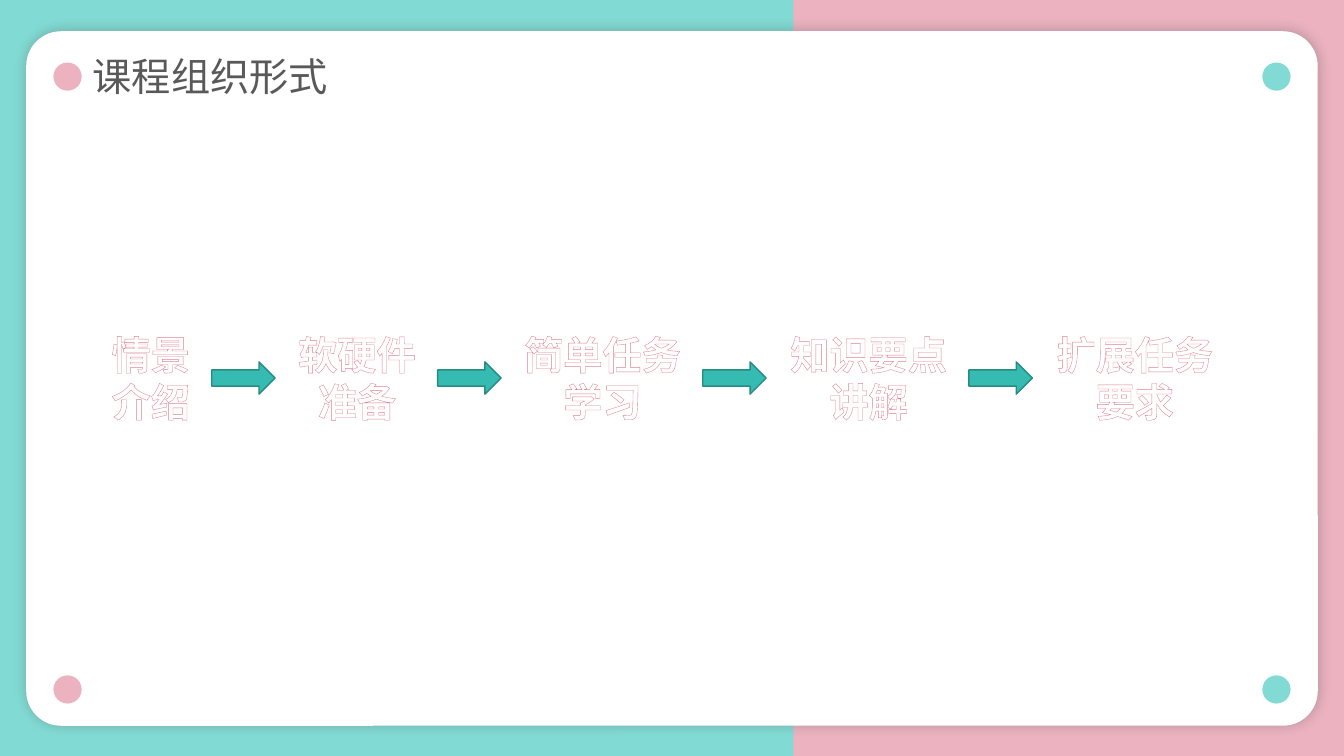
"""Build the course organisation slide with its five-step flow."""
from dataclasses import dataclass

import lxml.etree
import pptx
import pptx.dml.color
import pptx.enum.shapes
import pptx.enum.text
import pptx.oxml
import pptx.oxml.ns
import pptx.util

Inches = pptx.util.Inches
Pt = pptx.util.Pt
RGB = pptx.dml.color.RGBColor.from_string
qn = pptx.oxml.ns.qn
SHAPE = pptx.enum.shapes.MSO_SHAPE
ALIGN = pptx.enum.text.PP_ALIGN
ANCHOR = pptx.enum.text.MSO_ANCHOR
AUTO = pptx.enum.text.MSO_AUTO_SIZE


@dataclass(frozen=True)
class Theme:
    pink: str = "ECB2C0"
    mint: str = "81DBD4"
    white: str = "FFFFFF"
    grey: str = "595959"
    outline: str = "DF7F96"
    arrow: str = "35BBB1"
    arrow_line: str = "278A83"
    font: str = "Noto Sans CJK SC"
    size: float = 28
    outline_width: float = 0.52


@dataclass(frozen=True)
class Step:
    left: float
    lines: tuple[str, str]

    @property
    def width(self) -> float:
        return 0.21 + 0.39 * len(self.lines[0])


THEME = Theme()
STEPS = (
    Step(1, ("情景", "介绍")),
    Step(2.85, ("软硬件", "准备")),
    Step(5.09, ("简单任务", "学习")),
    Step(7.73, ("知识要点", "讲解")),
    Step(10.37, ("扩展任务", "要求")),
)


def add_shape(s, kind, left: float, top: float, width: float, height: float,
              fill: str, line: str | None = None):
    sp = s.shapes.add_shape(kind, Inches(left), Inches(top), Inches(width), Inches(height))
    sp.shadow.inherit = False
    sp.fill.solid()
    sp.fill.fore_color.rgb = RGB(fill)
    if line:
        sp.line.color.rgb = RGB(line)
        sp.line.width = Pt(1)
    else:
        sp.line.fill.background()
    return sp


def add_shadow(sp, color: str, alpha: int, blur: float, dist: float) -> None:
    effects = sp._element.spPr.find(qn("a:effectLst"))
    shadow = lxml.etree.SubElement(
        effects, qn("a:outerShdw"), blurRad=str(Pt(blur)), dist=str(Pt(dist)),
        dir="0", algn="ctr", rotWithShape="0")
    clr = lxml.etree.SubElement(shadow, qn("a:srgbClr"), val=color)
    lxml.etree.SubElement(clr, qn("a:alpha"), val=str(alpha * 1000))


def add_outline(r, color: str, width: float) -> None:
    ln = lxml.etree.Element(qn("a:ln"), w=str(Pt(width)))
    fill = lxml.etree.SubElement(ln, qn("a:solidFill"))
    lxml.etree.SubElement(fill, qn("a:srgbClr"), val=color)
    r.font._element.insert(0, ln)


def add_text(s, lines: tuple[str, ...], left: float, top: float, width: float,
             height: float, *, color: str, bold: bool = False, wrap: bool = False,
             align=ALIGN.LEFT, anchor=ANCHOR.TOP, side_inset: float = 0.1,
             spacing: float = 1.0, outline: str | None = None) -> None:
    sp = s.shapes.add_textbox(Inches(left), Inches(top), Inches(width), Inches(height))
    tf = sp.text_frame
    tf.word_wrap = wrap
    tf.auto_size = AUTO.SHAPE_TO_FIT_TEXT
    tf.vertical_anchor = anchor
    tf.margin_left = tf.margin_right = Inches(side_inset)
    for i, line in enumerate(lines):
        p = tf.add_paragraph() if i else tf.paragraphs[0]
        p.alignment = align
        p.line_spacing = spacing
        r = p.add_run()
        r.text = line
        r.font.size = Pt(THEME.size)
        r.font.bold = bold
        r.font.name = THEME.font
        r.font.color.rgb = RGB(color)
        lxml.etree.SubElement(r.font._element, qn("a:ea"), typeface=THEME.font)
        if outline:
            add_outline(r, outline, THEME.outline_width)


def add_frame(s) -> None:
    s.background.fill.solid()
    s.background.fill.fore_color.rgb = RGB(THEME.pink)
    add_shape(s, SHAPE.RECTANGLE, 0, 0, 7.87, 7.5, THEME.mint)
    card = add_shape(s, SHAPE.ROUNDED_RECTANGLE, 0.26, 0.31, 12.81, 6.89, THEME.white)
    card.adjustments[0] = 0.05
    add_shadow(card, THEME.grey, alpha=36, blur=9, dist=1)
    for top in (0.62, 6.7):
        for left, color in ((0.53, THEME.pink), (12.52, THEME.mint)):
            add_shape(s, SHAPE.OVAL, left, top, 0.28, 0.28, color)


def add_flow(s) -> None:
    for step in STEPS:
        add_text(s, step.lines, step.left, 3.23, step.width, 1.04, color=THEME.white,
                 bold=True, align=ALIGN.CENTER, outline=THEME.outline)
    for step in STEPS[:-1]:
        add_shape(s, SHAPE.RIGHT_ARROW, step.left + step.width + 0.11, 3.59, 0.63, 0.32,
                  THEME.arrow, THEME.arrow_line)


def main() -> None:
    prs = pptx.Presentation()
    prs.slide_width, prs.slide_height = Inches(13.33), Inches(7.5)
    s = prs.slides.add_slide(prs.slide_layouts[6])
    add_frame(s)
    add_text(s, ("课程组织形式",), 0.92, 0.52, 5.59, 0.53, color=THEME.grey, wrap=True,
             anchor=ANCHOR.MIDDLE, side_inset=0, spacing=0.9)
    add_flow(s)
    prs.save("out.pptx")


if __name__ == "__main__":
    main()
